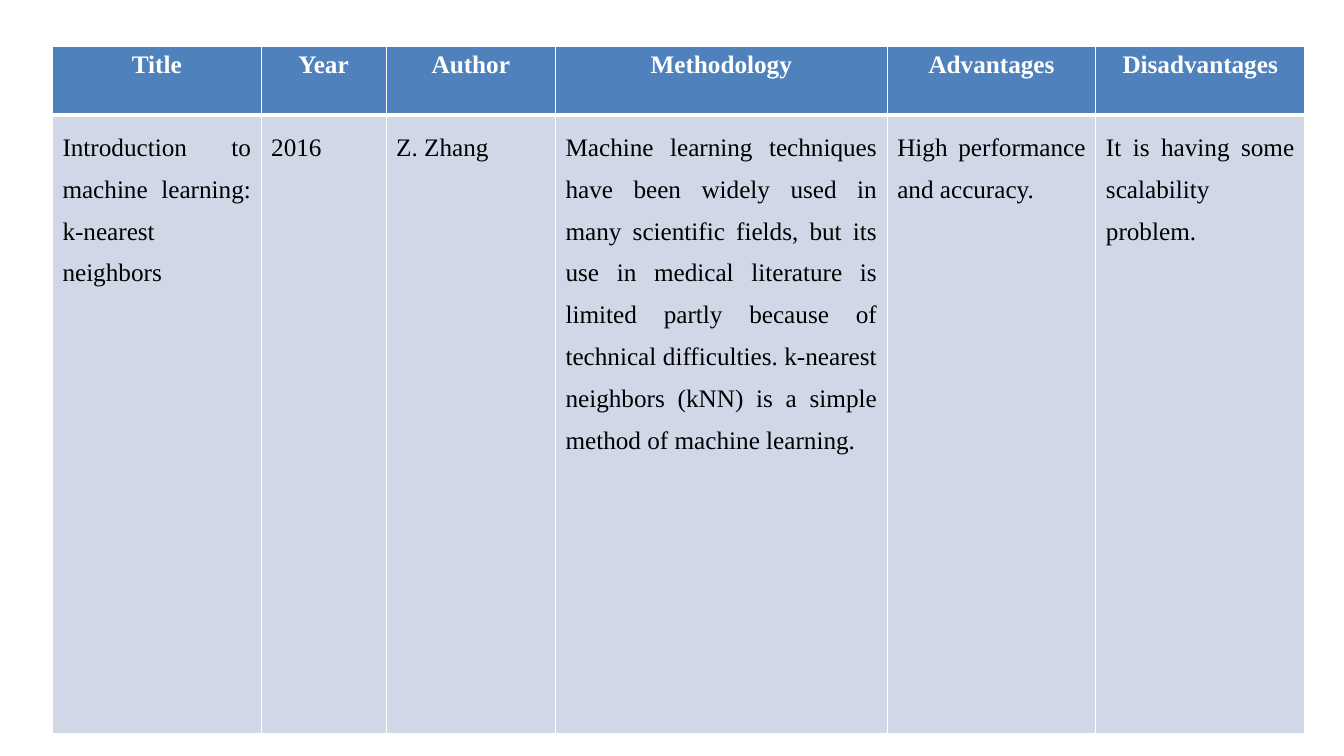
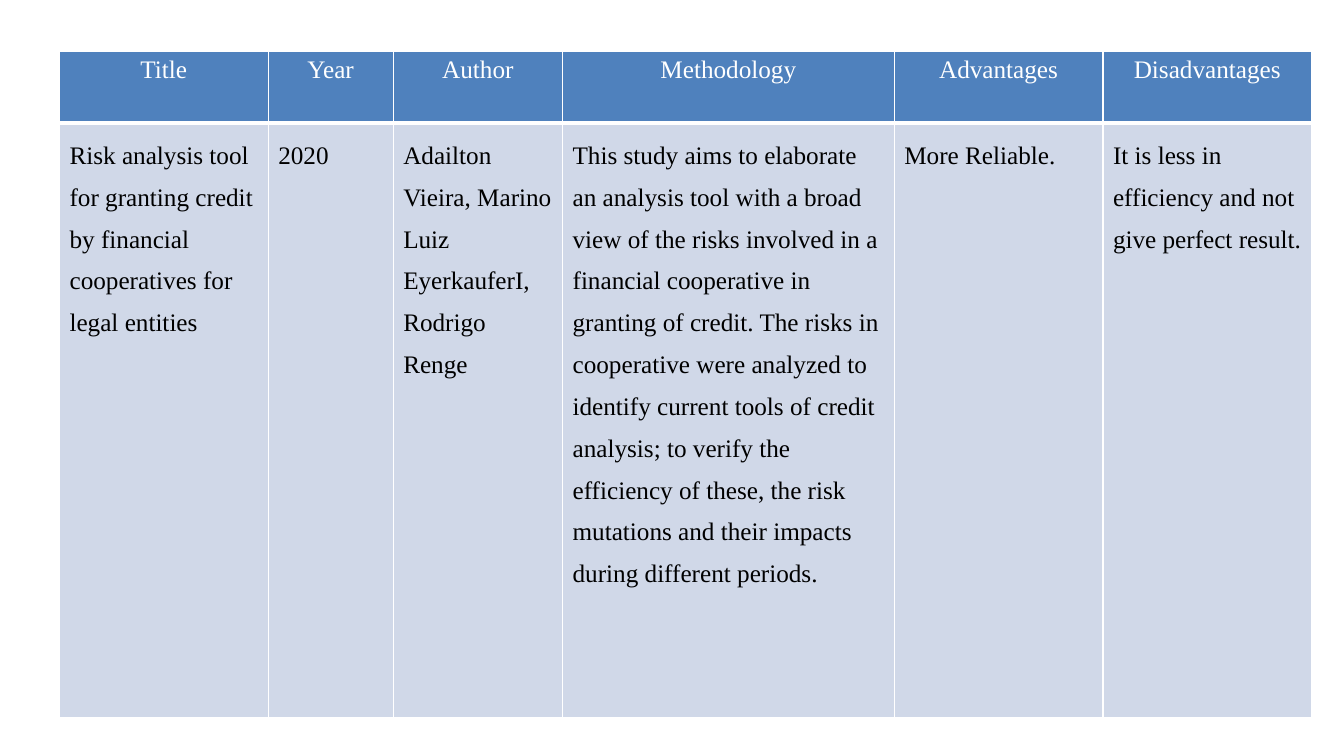
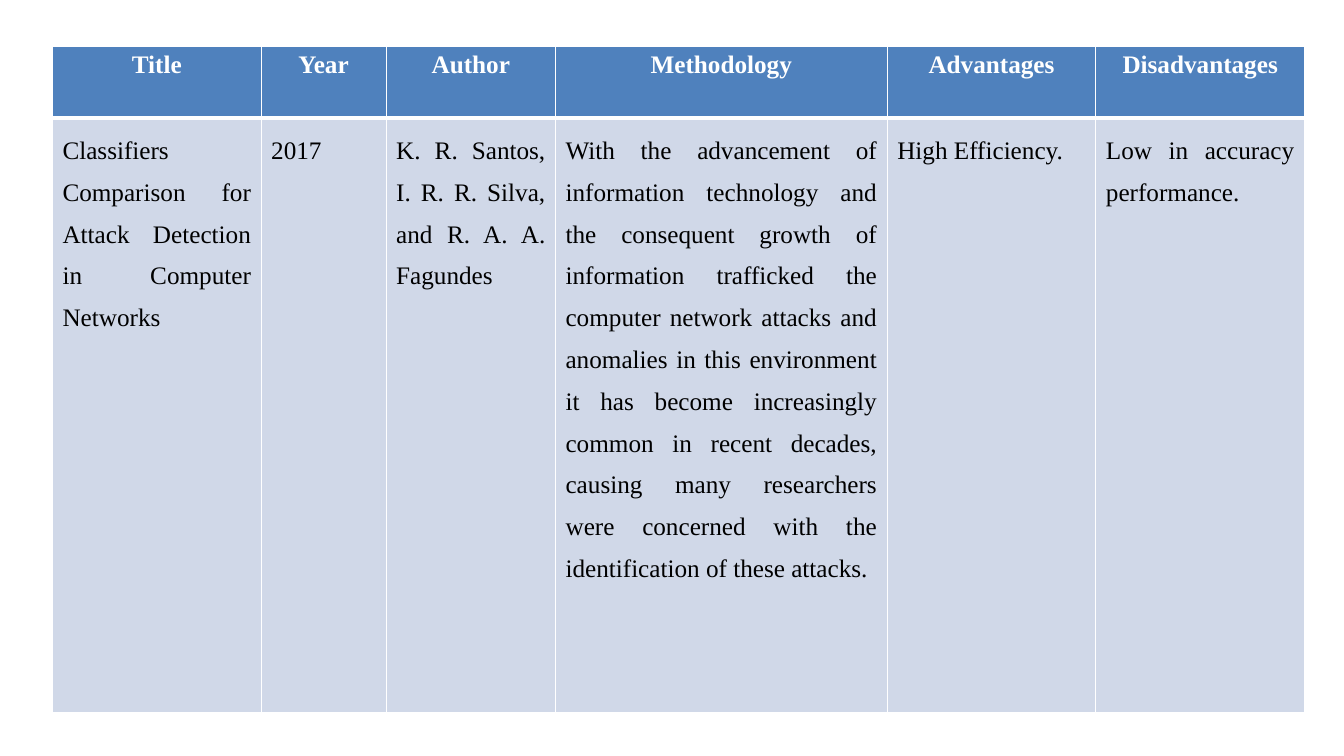
"""Build three literature survey slides, each holding one table."""
from lxml import etree
from pptx import Presentation
from pptx.dml.color import RGBColor
from pptx.enum.text import PP_ALIGN
from pptx.oxml.ns import qn
from pptx.util import Emu, Pt

CENTER, LEFT, JUSTIFY = PP_ALIGN.CENTER, PP_ALIGN.LEFT, PP_ALIGN.JUSTIFY

COLORS = {"header": "4F81BD", "body": "D0D8E8", "border": "FFFFFF",
          "header_text": "FFFFFF", "body_text": "000000"}
FONT, FONT_SIZE = "Times New Roman", 18
HEADERS = ("Title", "Year", "Author", "Methodology", "Advantages", "Disadvantages")
COLUMN_WIDTHS = (207, 124, 168, 329, 207, 207)
BLANK_LAYOUT = 6

SURVEYS = [
    {"position": (52, 46), "heights": (68, 614), "bold": True, "align": JUSTIFY,
     "entry": (
         "Introduction to machine learning: k-nearest neighbors",
         "2016",
         "Z. Zhang",
         "Machine learning techniques have been widely used in many scientific "
         "fields, but its use in medical literature is limited partly because of "
         "technical difficulties. k-nearest neighbors (kNN) is a simple method of "
         "machine learning.",
         "High performance and accuracy.",
         "It is having some scalability problem.")},
    {"position": (59, 51), "heights": (71, 590), "bold": False, "align": LEFT,
     "entry": (
         "Risk analysis tool for granting credit by financial cooperatives for "
         "legal entities",
         "2020",
         "Adailton Vieira, Marino Luiz EyerkauferI, Rodrigo Renge",
         "This study aims to elaborate an analysis tool with a broad view of the "
         "risks involved in a financial cooperative in granting of credit. The "
         "risks in cooperative were analyzed to identify current tools of credit "
         "analysis; to verify the efficiency of these, the risk mutations and "
         "their impacts during different periods.",
         "More Reliable.",
         "It is less in efficiency and not give perfect result.")},
    {"position": (52, 46), "heights": (71, 590), "bold": True, "align": JUSTIFY,
     "entry": (
         "Classifiers Comparison for Attack Detection in Computer Networks",
         "2017",
         "K. R. Santos, I. R. R. Silva, and R. A. A. Fagundes",
         "With the advancement of information technology and the consequent growth "
         "of information trafficked the computer network attacks and anomalies in "
         "this environment it has become increasingly common in recent decades, "
         "causing many researchers were concerned with the identification of these "
         "attacks.",
         "High Efficiency.",
         "Low in accuracy performance.")},
]


def px(length):
    return Emu(length * 9144)


def set_borders(cell, top, bottom):
    properties = cell._tc.get_or_add_tcPr()
    for side, width in (("L", 1), ("R", 1), ("T", top), ("B", bottom)):
        line = etree.SubElement(properties, qn(f"a:ln{side}"), w=str(Pt(width)))
        fill = etree.SubElement(line, qn("a:solidFill"))
        etree.SubElement(fill, qn("a:srgbClr"), val=COLORS["border"])


def fill_cell(cell, text, role, align, bold, spacing, borders):
    set_borders(cell, *borders)
    cell.fill.solid()
    cell.fill.fore_color.rgb = RGBColor.from_string(COLORS[role])
    cell.text = text
    para = cell.text_frame.paragraphs[0]
    para.alignment = align
    para.line_spacing = spacing
    para.font.name = FONT
    para.font.size = Pt(FONT_SIZE)
    para.font.bold = bold
    para.font.color.rgb = RGBColor.from_string(COLORS[f"{role}_text"])


def add_survey(deck, survey):
    page = deck.slides.add_slide(deck.slide_layouts[BLANK_LAYOUT])
    left, top = survey["position"]
    heights = survey["heights"]
    table = page.shapes.add_table(
        len(heights), len(HEADERS), px(left), px(top),
        px(sum(COLUMN_WIDTHS)), px(sum(heights))).table
    table.horz_banding = False
    for row, height in zip(table.rows, heights):
        row.height = px(height)
    for index, width in enumerate(COLUMN_WIDTHS):
        table.columns[index].width = px(width)
        fill_cell(table.cell(0, index), HEADERS[index], "header",
                  CENTER, survey["bold"], 1.0, (1, 3))
        fill_cell(table.cell(1, index), survey["entry"][index], "body",
                  survey["align"], False, 1.5, (3, 1))


def main():
    deck = Presentation()
    deck.slide_width, deck.slide_height = px(1333), px(750)
    for survey in SURVEYS:
        add_survey(deck, survey)
    deck.save("out.pptx")


if __name__ == "__main__":
    main()
